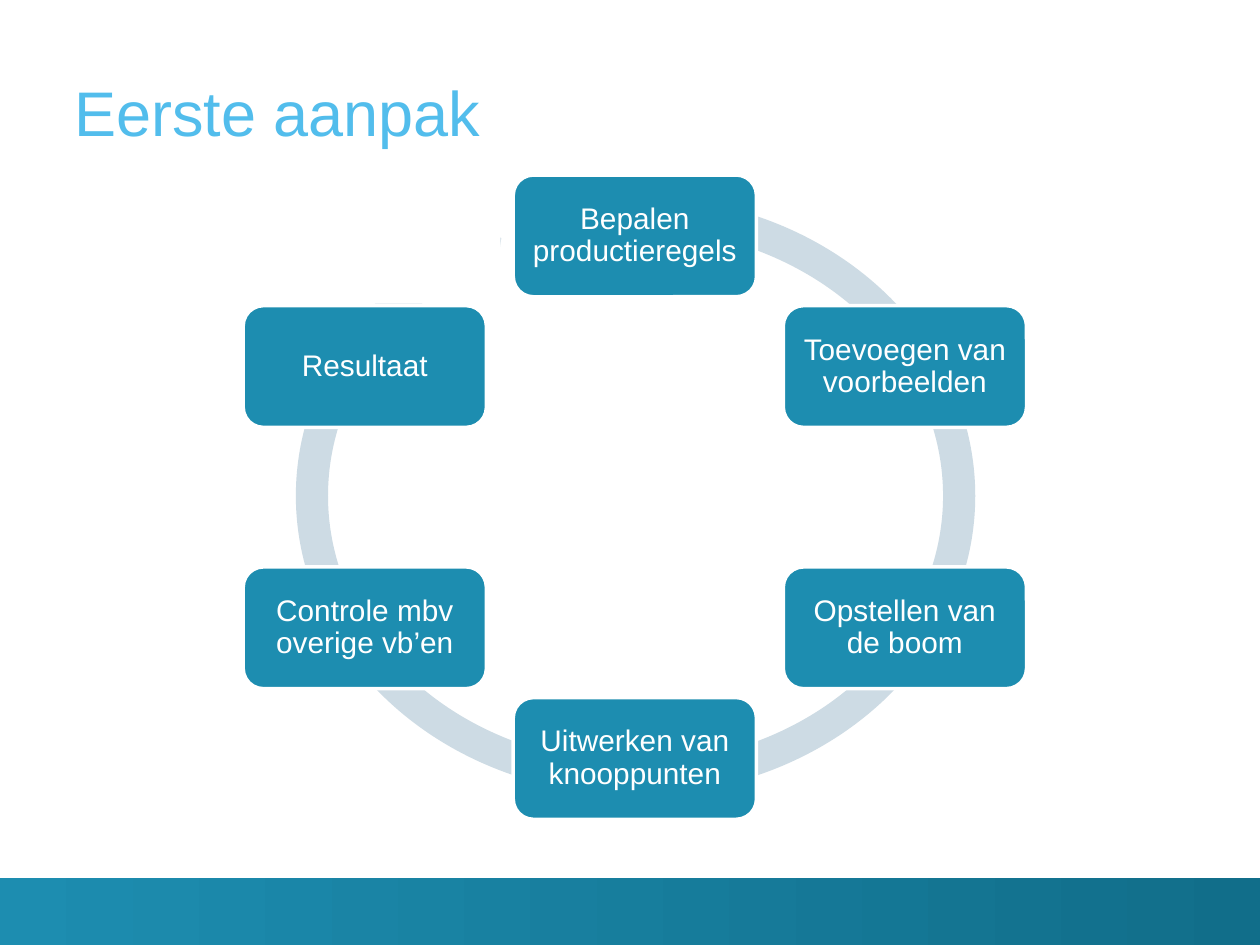
from math import cos, radians, sin

from pptx import Presentation
from pptx.dml.color import RGBColor
from pptx.enum.shapes import MSO_SHAPE
from pptx.enum.text import MSO_ANCHOR, PP_ALIGN
from pptx.util import Pt

RECTANGLE = MSO_SHAPE.RECTANGLE
ROUNDED = MSO_SHAPE.ROUNDED_RECTANGLE
CIRCULAR_ARROW = MSO_SHAPE.CIRCULAR_ARROW
MIDDLE, BOTTOM = MSO_ANCHOR.MIDDLE, MSO_ANCHOR.BOTTOM
LEFT, CENTER = PP_ALIGN.LEFT, PP_ALIGN.CENTER

WHITE = RGBColor(0xFF, 0xFF, 0xFF)
SKY = RGBColor(0x52, 0xBD, 0xEC)
TEAL = RGBColor(0x1D, 0x8D, 0xB0)
DARK_TEAL = RGBColor(0x11, 0x6E, 0x8A)
PALE = RGBColor(0xCD, 0xDB, 0xE4)
FONT = "Arial"

TITLE = "Eerste aanpak"
STEPS = [
    "Bepalen productieregels",
    "Toevoegen van voorbeelden",
    "Opstellen van de boom",
    "Uitwerken van knooppunten",
    "Controle mbv overige vb’en",
    "Resultaat",
]

SLIDE_WIDTH, SLIDE_HEIGHT = 720, 540
BAR_HEIGHT = 38.2
TITLE_AREA = (42.5, 14.4, 656, 70.6)
ARROW_AREA = (156.2, 99.4, 414, 367.9)
ARROW_ADJUSTMENTS = (0.05, 3.13, 142.36, 171.22, 0.06)
COVER_AREA = (121.7, 100.1, 164.2, 73.4)
CENTER_X, CENTER_Y = 362.8, 284.1
RADIUS_X, RADIUS_Y = 178.2, 149.3
STEP_WIDTH, STEP_HEIGHT = 139, 69.6


def add_shape(slide, kind, area, color):
    shape = slide.shapes.add_shape(kind, *map(Pt, area))
    shape.shadow.inherit = False
    shape.fill.solid()
    shape.fill.fore_color.rgb = color
    shape.line.fill.background()
    return shape


def write(shape, text, size, color, alignment, anchor, inset):
    frame = shape.text_frame
    frame.word_wrap = True
    frame.vertical_anchor = anchor
    frame.margin_left = frame.margin_right = Pt(inset)
    frame.margin_top = frame.margin_bottom = Pt(inset)
    paragraph = frame.paragraphs[0]
    paragraph.alignment = alignment
    run = paragraph.add_run()
    run.text = text
    run.font.name = FONT
    run.font.size = Pt(size)
    run.font.color.rgb = color
    return paragraph


def add_bar(slide):
    area = (0, SLIDE_HEIGHT - BAR_HEIGHT, SLIDE_WIDTH, BAR_HEIGHT)
    bar = add_shape(slide, RECTANGLE, area, TEAL)
    bar.fill.gradient()
    bar.fill.gradient_angle = 0
    for stop, color in zip(bar.fill.gradient_stops, (TEAL, DARK_TEAL)):
        stop.color.rgb = color


def add_title(slide):
    title = slide.shapes.title
    title.left, title.top, title.width, title.height = map(Pt, TITLE_AREA)
    write(title, TITLE, 36, SKY, LEFT, BOTTOM, 0)


def add_cycle(slide):
    arrow = add_shape(slide, CIRCULAR_ARROW, ARROW_AREA, PALE)
    for index, value in enumerate(ARROW_ADJUSTMENTS):
        arrow.adjustments[index] = value
    for index, text in enumerate(STEPS):
        angle = radians(index * 360 / len(STEPS))
        left = CENTER_X + RADIUS_X * sin(angle) - STEP_WIDTH / 2
        top = CENTER_Y - RADIUS_Y * cos(angle) - STEP_HEIGHT / 2
        step = add_shape(slide, ROUNDED, (left, top, STEP_WIDTH, STEP_HEIGHT), TEAL)
        step.line.color.rgb = WHITE
        step.line.width = Pt(2)
        paragraph = write(step, text, 17, WHITE, CENTER, MIDDLE, 5)
        paragraph.line_spacing = 0.9
    add_shape(slide, RECTANGLE, COVER_AREA, WHITE)


def main():
    presentation = Presentation()
    presentation.slide_width = Pt(SLIDE_WIDTH)
    presentation.slide_height = Pt(SLIDE_HEIGHT)
    slide = presentation.slides.add_slide(presentation.slide_layouts[5])
    add_bar(slide)
    add_title(slide)
    add_cycle(slide)
    presentation.save("out.pptx")


if __name__ == "__main__":
    main()
